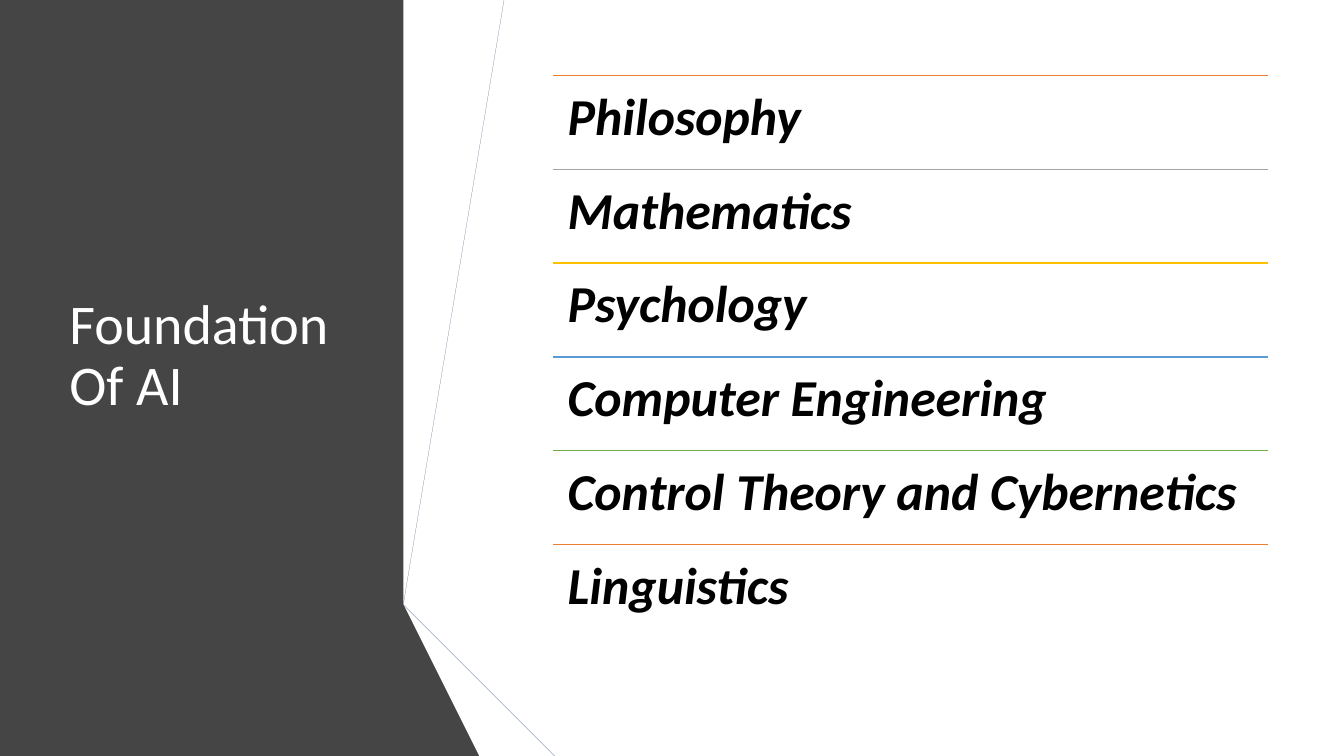
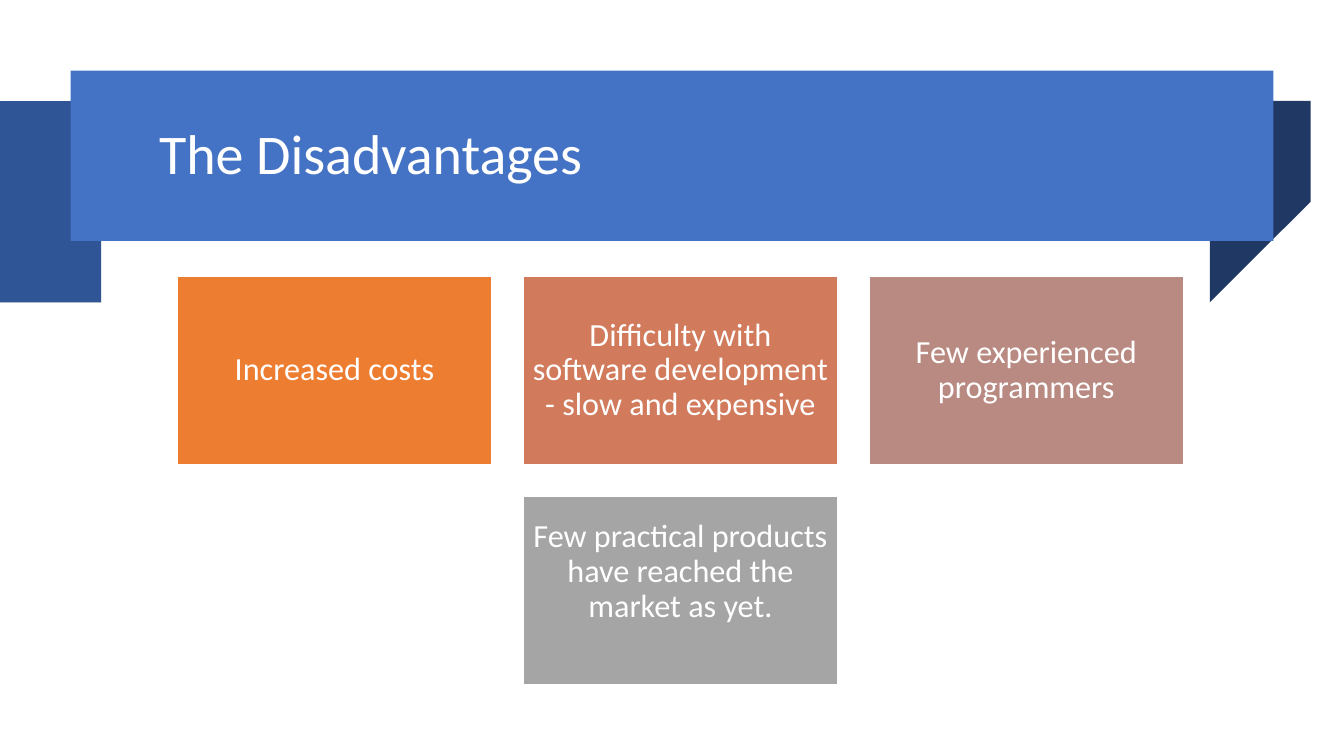
"""Build two slides: the foundations of AI and its disadvantages."""
from lxml import etree
from pptx import Presentation
from pptx.dml.color import RGBColor
from pptx.enum.shapes import MSO_CONNECTOR, MSO_SHAPE
from pptx.enum.text import MSO_ANCHOR, PP_ALIGN
from pptx.oxml.ns import qn
from pptx.util import Inches, Pt

STRAIGHT, RECTANGLE = MSO_CONNECTOR.STRAIGHT, MSO_SHAPE.RECTANGLE
TOP, MIDDLE = MSO_ANCHOR.TOP, MSO_ANCHOR.MIDDLE
LEFT, CENTER = PP_ALIGN.LEFT, PP_ALIGN.CENTER

WHITE = RGBColor(0xFF, 0xFF, 0xFF)
BLACK = RGBColor(0x00, 0x00, 0x00)
CHARCOAL = RGBColor(0x45, 0x45, 0x45)
GRAY = RGBColor(0x59, 0x59, 0x59)
DARK_GRAY = RGBColor(0x40, 0x40, 0x40)
DEEP_GRAY = RGBColor(0x26, 0x26, 0x26)
BLUE = RGBColor(0x44, 0x72, 0xC4)
DARK_BLUE = RGBColor(0x2F, 0x55, 0x97)
NAVY = RGBColor(0x20, 0x38, 0x64)
ORANGE = RGBColor(0xED, 0x7D, 0x31)
SILVER = RGBColor(0xA5, 0xA5, 0xA5)
GOLD = RGBColor(0xFF, 0xC0, 0x00)
SKY = RGBColor(0x5B, 0x9B, 0xD5)
GREEN = RGBColor(0x70, 0xAD, 0x47)
TERRACOTTA = RGBColor(0xD1, 0x7B, 0x5C)
ROSE = RGBColor(0xB9, 0x8A, 0x82)

FONT = "Calibri"
WIDTH, HEIGHT = 13.33, 7.5
TITLE_SIZE = 40

FOUNDATIONS = [
    ("Philosophy", ORANGE),
    ("Mathematics", SILVER),
    ("Psychology", GOLD),
    ("Computer Engineering", SKY),
    ("Control Theory and Cybernetics", GREEN),
    ("Linguistics", ORANGE),
]
LIST_LEFT, LIST_TOP, LIST_WIDTH, ROW_HEIGHT = 5.48, 0.75, 7.1, 0.93

DISADVANTAGES = [
    ("Increased costs", ORANGE, 0),
    ("Difficulty with software development - slow and expensive", TERRACOTTA, 0),
    ("Few experienced programmers", ROSE, 0),
    ("Few practical products have reached the market as yet.", SILVER, 0.36),
]
COLUMNS, CARD_TOP, CARD_WIDTH, CARD_HEIGHT, GAP = 3, 2.74, 3.12, 1.87, 0.31
CARD_CENTER = 6.75
CARD_INSET = 0.09

SIDE_PANEL = [
    (CHARCOAL, [(0, 0), (4.49, 0), (3.56, 5.75), (4.82, HEIGHT), (0, HEIGHT)]),
    (BLUE, [(3.96, 5.78), (4.23, 5.83), (5.19, 0), (4.91, 0)]),
    (GRAY, [(4.85, 0), (4.57, 0), (3.63, 5.73), (3.9, 5.77)]),
    (DEEP_GRAY, [(3.63, 5.73), (4.91, HEIGHT), (4.97, HEIGHT)]),
    (NAVY, [(3.96, 5.79), (5.54, HEIGHT), (5.6, HEIGHT)]),
    (DARK_BLUE, [(3.96, 5.78), (5.6, HEIGHT), (6.29, HEIGHT), (4.23, 5.83)]),
    (DARK_GRAY, [(5.48, HEIGHT), (3.95, 5.83), (3.9, 5.77), (3.63, 5.73), (4.97, HEIGHT)]),
]
BANNER = (0.7, 0.7, 11.93, 1.69)
BANNER_FOLDS = [
    (NAVY, [(12.63, 2.38), (12.27, 2.6), (12.27, 0.91), (12.63, 0.7)]),
    (NAVY, [(1.22, 3.41), (0.45, 2.78), (0.45, 1.12), (1.22, 1.75)]),
    (DARK_BLUE, [(0.89, 2.58), (0.45, 2.78), (0.45, 1.12), (0.89, 0.92)]),
    (NAVY, [(0.89, 2.57), (0.71, 2.39), (0.71, 0.7), (0.89, 0.89)]),
]


def paint(shape, color, outline=None):
    shape.shadow.inherit = False
    shape.fill.solid()
    shape.fill.fore_color.rgb = color
    if outline is None:
        shape.line.fill.background()
    else:
        shape.line.color.rgb = outline
        shape.line.width = Pt(1)


def add_outlines(slide, outlines):
    for color, points in outlines:
        builder = slide.shapes.build_freeform(*points[0], scale=Inches(1))
        builder.add_line_segments(points[1:], close=True)
        paint(builder.convert_to_shape(), color)


def add_block(slide, box, color, outline=None):
    block = slide.shapes.add_shape(RECTANGLE, *map(Inches, box))
    paint(block, color, outline)
    return block


def write(shape, text, size, color, insets, anchor=MIDDLE, align=LEFT, emphasis=None):
    frame = shape.text_frame
    frame.word_wrap = True
    frame.vertical_anchor = anchor
    (frame.margin_left, frame.margin_top,
     frame.margin_right, frame.margin_bottom) = map(Inches, insets)
    paragraph = frame.paragraphs[0]
    paragraph.text = text
    paragraph.alignment = align
    paragraph.line_spacing = 0.9
    font = paragraph.font
    font.name, font.size, font.color.rgb = FONT, Pt(size), color
    font.bold = font.italic = emphasis


def add_title(slide, text, box):
    title = slide.shapes.add_textbox(*map(Inches, box))
    write(title, text, TITLE_SIZE, WHITE, (0.1, 0.05, 0.1, 0.05))


def add_rule(slide, left, top, width, color):
    rule = slide.shapes.add_connector(
        STRAIGHT, *map(Inches, (left, top, left + width, top)))
    rule.line.color.rgb = color
    rule.line.width = Pt(1)
    etree.SubElement(rule._element.spPr, qn("a:effectLst"))


def build_foundations(slide):
    add_outlines(slide, SIDE_PANEL)
    add_title(slide, "Foundation Of AI", (0.59, 0.75, 3.04, 5.58))
    for row, (subject, color) in enumerate(FOUNDATIONS):
        top = LIST_TOP + row * ROW_HEIGHT
        add_rule(slide, LIST_LEFT, top, LIST_WIDTH, color)
        entry = slide.shapes.add_textbox(
            *map(Inches, (LIST_LEFT, top, LIST_WIDTH, ROW_HEIGHT)))
        write(entry, subject, 37, BLACK, [0.15] * 4, anchor=TOP, emphasis=True)


def build_disadvantages(slide):
    add_outlines(slide, BANNER_FOLDS)
    add_block(slide, BANNER, BLUE)
    add_title(slide, "The Disadvantages", (1.48, 0.83, 10.94, 1.45))
    for first in range(0, len(DISADVANTAGES), COLUMNS):
        cards = DISADVANTAGES[first:first + COLUMNS]
        row_width = len(cards) * (CARD_WIDTH + GAP) - GAP
        top = CARD_TOP + first // COLUMNS * (CARD_HEIGHT + GAP)
        for column, (drawback, color, lift) in enumerate(cards):
            left = CARD_CENTER - row_width / 2 + column * (CARD_WIDTH + GAP)
            card = add_block(slide, (left, top, CARD_WIDTH, CARD_HEIGHT), color, WHITE)
            insets = [CARD_INSET] * 3 + [CARD_INSET + lift]
            write(card, drawback, 23, WHITE, insets, align=CENTER)


deck = Presentation()
deck.slide_width, deck.slide_height = Inches(WIDTH), Inches(HEIGHT)
blank = deck.slide_layouts[6]
for build in (build_foundations, build_disadvantages):
    build(deck.slides.add_slide(blank))
deck.save("out.pptx")
